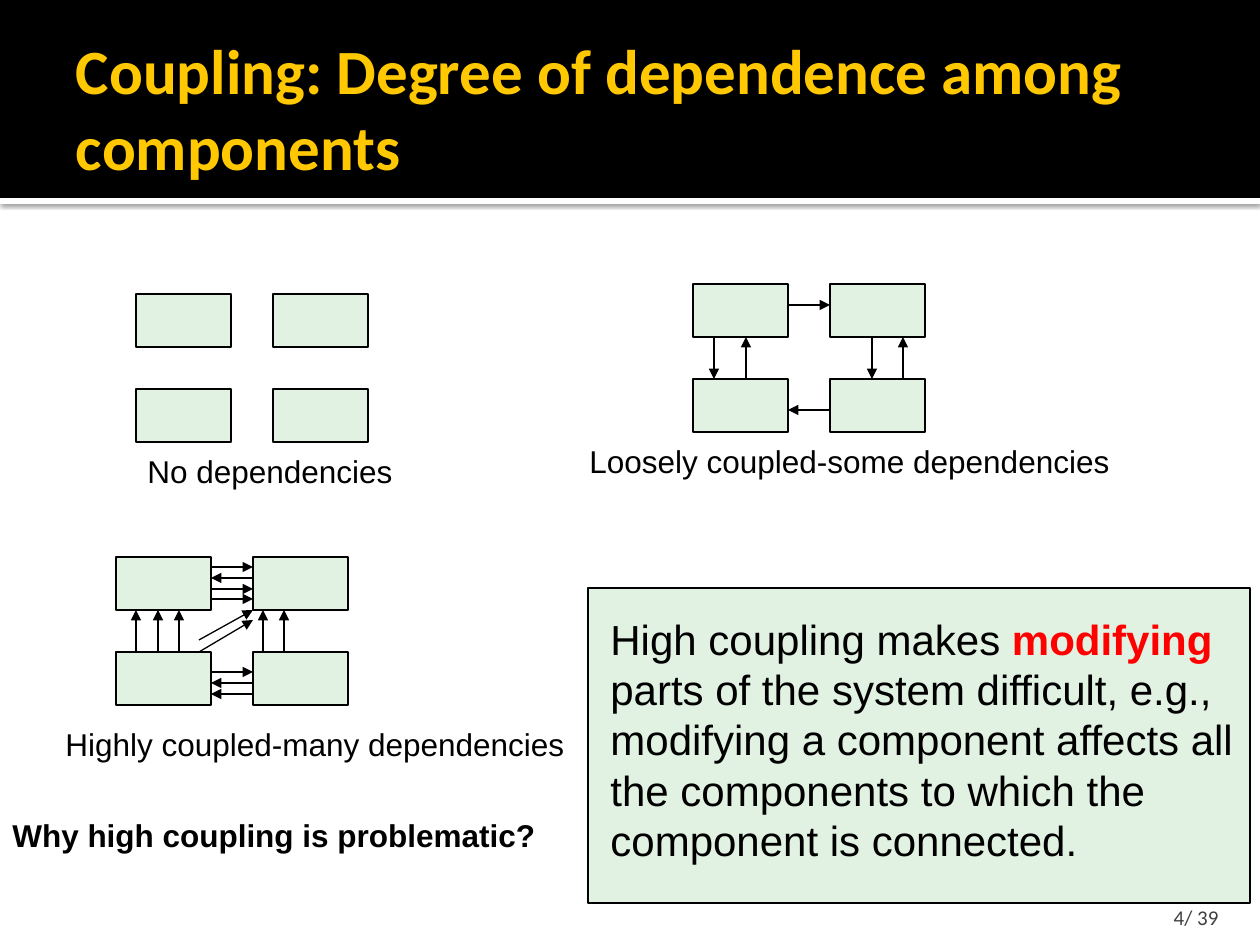
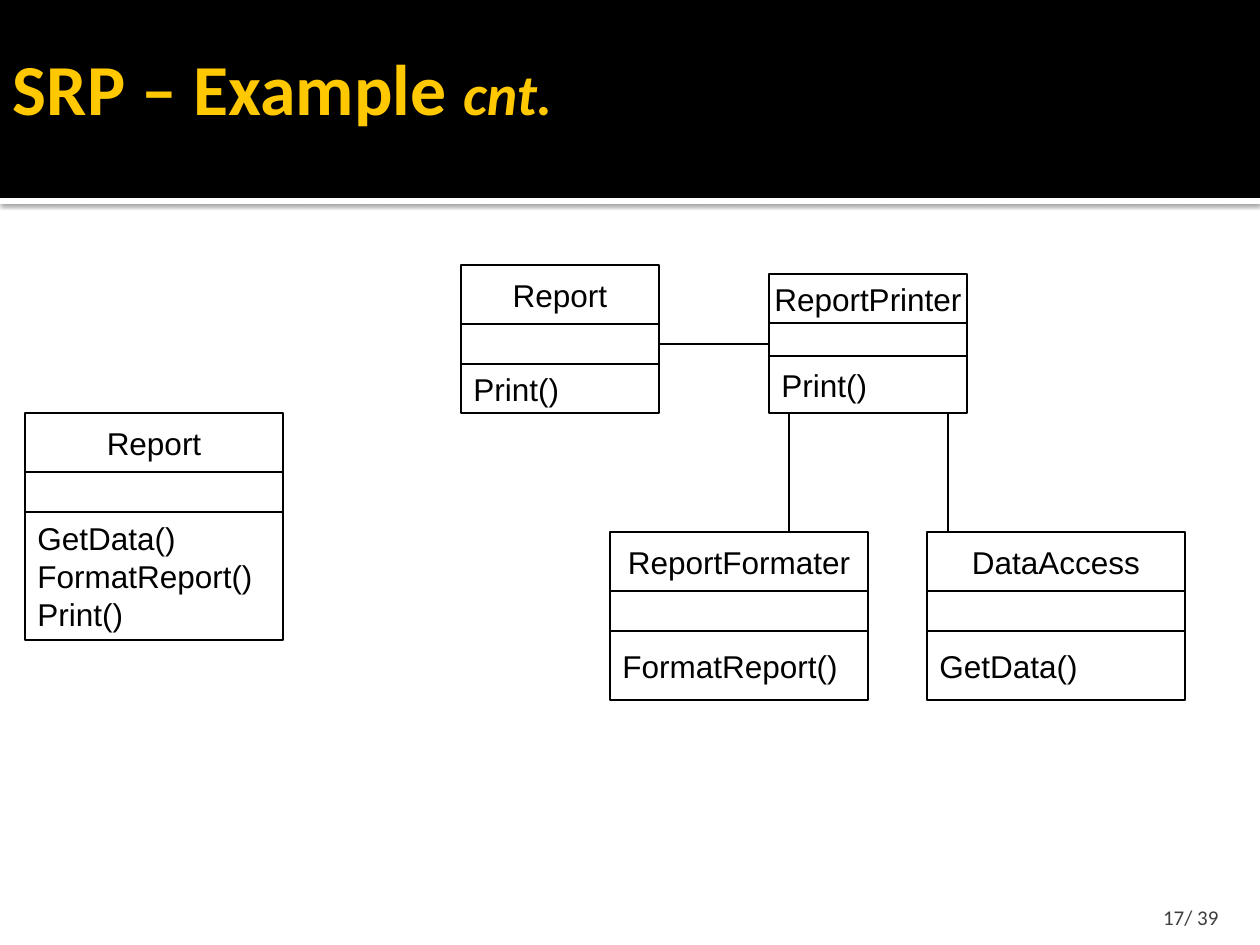
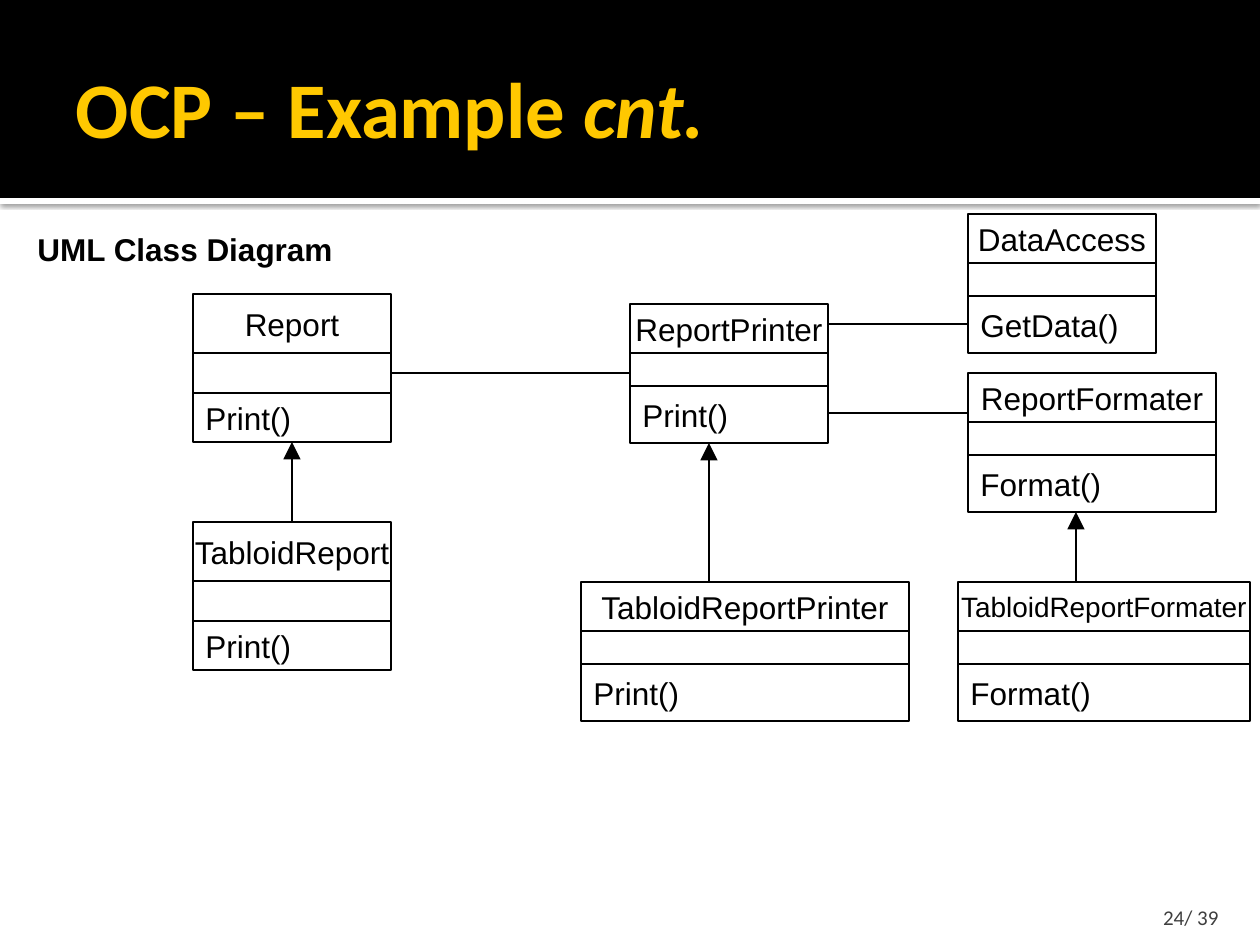
"""Builds three slides on coupling and on class design principles."""
import lxml.etree
import pptx
import pptx.dml.color
import pptx.enum.shapes
import pptx.enum.text
import pptx.oxml.ns
import pptx.util

SCALE = 914400 / 126
COLOURS = {"black": "000000", "white": "FFFFFF", "title": "FFC800",
           "mint": "E1F1E2", "red": "FF0000", "number": "3F3F3F"}
BODY_FONT, TITLE_FONT = "Arial", "Calibri"
ALIGN = pptx.enum.text.PP_ALIGN
ANCHOR = pptx.enum.text.MSO_ANCHOR
TALL, SHORT = (59, 40, 49), (49, 33, 57)
BOX_WIDTH, BOX_HEIGHT, COLUMN_STEP, ROW_STEP = 95, 53, 137, 95


def emu(*lengths):
    return [pptx.util.Emu(round(length * SCALE)) for length in lengths]


def rgb(name):
    return pptx.dml.color.RGBColor.from_string(COLOURS[name])


def add_xml(parent, tag, **attributes):
    return lxml.etree.SubElement(parent, pptx.oxml.ns.qn(tag), attributes)


class SlideBuilder:
    def __init__(self):
        self.deck = pptx.Presentation()
        self.deck.slide_width, self.deck.slide_height = emu(1260, 945)
        self.page = None

    def start_page(self, spans, number, size, left=63, top=21):
        self.page = self.deck.slides.add_slide(self.deck.slide_layouts[5])
        rule = self.box(0, 198, 1260, 6, "white", line=None)
        self.add_shadow(rule)
        self.box(0, 0, 1260, 198, "black", line=None)
        title = self.page.shapes.title
        self.page.shapes.element.append(title.element)
        title.left, title.top, title.width, title.height = emu(left, top, 1134, 173)
        frame = title.text_frame
        frame.word_wrap = True
        frame.auto_size = pptx.enum.text.MSO_AUTO_SIZE.NONE
        frame.vertical_anchor = ANCHOR.MIDDLE
        frame.margin_left, frame.margin_top, frame.margin_right, frame.margin_bottom = emu(13, 6, 6, 6)
        self.set_text(frame, spans, size, "title", TITLE_FONT, bold=True)
        self.label(f"{number}/ 39", 1130, 892, 101, 38, size=12, colour="number", font=TITLE_FONT,
                   align=ALIGN.RIGHT, anchor=ANCHOR.BOTTOM, bottom=0)

    def add_shadow(self, shape):
        properties = shape.element.spPr
        effects = properties.find(pptx.oxml.ns.qn("a:effectLst"))
        shadow = add_xml(effects, "a:outerShdw", blurRad="31750", dist="10160",
                         dir="5400000", algn="tl", rotWithShape="0")
        colour = add_xml(shadow, "a:srgbClr", val=COLOURS["black"])
        add_xml(colour, "a:alpha", val="60000")

    def set_text(self, frame, spans, size=18, colour="black", font=BODY_FONT,
                 bold=False, align=ALIGN.LEFT):
        """Fills a frame from a string, or from (text, format changes) spans."""
        changes = [{}]
        if isinstance(spans, str):
            frame.text = spans
        else:
            for text, change in spans:
                frame.paragraphs[0].add_run().text = text
            changes = [change for text, change in spans]
        for para in frame.paragraphs:
            para.alignment = align
            for span, change in zip(para.runs, changes):
                span.font.name = font
                span.font.size = pptx.util.Pt(change.get("size", size))
                span.font.bold = change.get("bold", bold)
                span.font.italic = change.get("italic", False)
                span.font.color.rgb = rgb(change.get("colour", colour))

    def box(self, left, top, width, height, fill="white", line="black"):
        shape = self.page.shapes.add_shape(
            pptx.enum.shapes.MSO_SHAPE.RECTANGLE, *emu(left, top, width, height))
        shape.shadow.inherit = False
        shape.fill.solid()
        shape.fill.fore_color.rgb = rgb(fill)
        if line:
            shape.line.color.rgb = rgb(line)
            shape.line.width = pptx.util.Pt(0.75)
        else:
            shape.line.fill.background()
        return shape

    def label(self, spans, left, top, width, height, wrap=False,
              anchor=ANCHOR.TOP, bottom=6, **style):
        frame = self.page.shapes.add_textbox(*emu(left, top, width, height)).text_frame
        frame.word_wrap = wrap
        frame.vertical_anchor = anchor
        frame.margin_bottom = emu(bottom)[0]
        self.set_text(frame, spans, **style)

    def line(self, start_x, start_y, end_x, end_y, head=None):
        connector = self.page.shapes.add_connector(
            pptx.enum.shapes.MSO_CONNECTOR.STRAIGHT, *emu(start_x, start_y, end_x, end_y))
        connector.line.color.rgb = rgb("black")
        connector.line.width = pptx.util.Pt(0.75)
        properties = connector.element.spPr
        if head:
            outline = properties.find(pptx.oxml.ns.qn("a:ln"))
            add_xml(outline, "a:tailEnd", type="triangle", w=head, len=head)
        add_xml(properties, "a:effectLst")

    def components(self, left, top, rights=(), lefts=(), ups=(), downs=(), diagonals=()):
        """Draws four components, with arrows placed from their top left corner."""
        for column in range(2):
            for row in range(2):
                self.box(left + column * COLUMN_STEP, top + row * ROW_STEP,
                         BOX_WIDTH, BOX_HEIGHT, "mint")
        arrows = [(BOX_WIDTH, y, COLUMN_STEP, y) for y in rights]
        arrows += [(COLUMN_STEP, y, BOX_WIDTH, y) for y in lefts]
        arrows += [(x, ROW_STEP, x, BOX_HEIGHT) for x in ups]
        arrows += [(x, BOX_HEIGHT, x, ROW_STEP) for x in downs]
        for start_x, start_y, end_x, end_y in arrows + list(diagonals):
            self.line(left + start_x, top + start_y, left + end_x, top + end_y, "med")

    def uml_class(self, name, operations, left, top, width, heights, size=18):
        parts = [(name, ALIGN.CENTER, size), ("", ALIGN.LEFT, 18), (operations, ALIGN.LEFT, 18)]
        for (text, align, text_size), height in zip(parts, heights):
            shape = self.box(left, top, width, height)
            if text:
                frame = shape.text_frame
                frame.word_wrap = False
                frame.vertical_anchor = ANCHOR.MIDDLE
                self.set_text(frame, text, text_size, align=align)
            top += height


def coupling_slide(builder):
    builder.start_page("Coupling: Degree of dependence among components", 4, 36)
    builder.box(588, 588, 662, 315, "mint")
    builder.components(136, 294)
    builder.components(693, 284, rights=[21], lefts=[126], ups=[53, 210], downs=[21, 179])
    builder.components(116, 557, rights=[10, 32, 42, 115], lefts=[21, 126, 137],
                       ups=[20, 42, 63, 147, 168],
                       diagonals=[(83, 83, 137, 53), (83, 95, 137, 63)])
    builder.label("No dependencies", 135, 446, 271, 50)
    builder.label("Loosely coupled-some dependencies", 577, 436, 546, 50)
    builder.label("Highly coupled-many dependencies", 53, 719, 524, 50)
    builder.label([("High coupling makes ", {}),
                   ("modifying", {"bold": True, "colour": "red"}),
                   (" parts of the system difficult, e.g., modifying a component affects all "
                    "the components to which the component is connected.", {})],
                  598, 607, 672, 267, wrap=True, size=24)
    builder.label("Why high coupling is problematic?", 0, 810, 581, 50, wrap=True, bold=True)


def single_responsibility_slide(builder):
    builder.start_page([("SRP – Example ", {}), ("cnt.", {"size": 33, "italic": True})],
                       17, 41, left=0, top=0)
    builder.uml_class("Report", "GetData()\nFormatReport()\nPrint()", 25, 413, 258, (59, 40, 128))
    builder.uml_class("DataAccess", "GetData()", 927, 532, 258, (59, 40, 69))
    builder.uml_class("ReportFormater", "FormatReport()", 610, 532, 258, (59, 40, 69))
    builder.uml_class("ReportPrinter", "Print()", 769, 274, 198, SHORT)
    builder.uml_class("Report", "Print()", 461, 265, 198, TALL)
    for x in (789, 948):
        builder.line(x, 413, x, 532)
    builder.line(660, 344, 769, 344)


def open_closed_slide(builder):
    builder.start_page([("OCP – Example ", {}), ("cnt.", {"italic": True})], 24, 45)
    builder.uml_class("DataAccess", "GetData()", 968, 214, 188, SHORT)
    builder.uml_class("ReportFormater", "Format()", 968, 373, 248, SHORT)
    builder.uml_class("ReportPrinter", "Print()", 630, 304, 198, SHORT)
    builder.uml_class("Report", "Print()", 193, 294, 198, TALL)
    builder.uml_class("TabloidReport", "Print()", 193, 522, 198, TALL)
    builder.uml_class("TabloidReportPrinter", "Print()", 581, 582, 328, SHORT)
    builder.uml_class("TabloidReportFormater", "Format()", 958, 582, 292, SHORT, size=16)
    for start_x, end_x, y in [(828, 968, 324), (828, 968, 413), (391, 630, 373)]:
        builder.line(start_x, y, end_x, y)
    for x, child_top, parent_bottom in [(292, 522, 442), (709, 582, 443), (1076, 582, 512)]:
        builder.line(x, child_top, x, parent_bottom, "lg")
    builder.label("UML Class Diagram", 25, 224, 397, 50, wrap=True, bold=True)


def main():
    builder = SlideBuilder()
    coupling_slide(builder)
    single_responsibility_slide(builder)
    open_closed_slide(builder)
    builder.deck.save("out.pptx")


if __name__ == "__main__":
    main()
